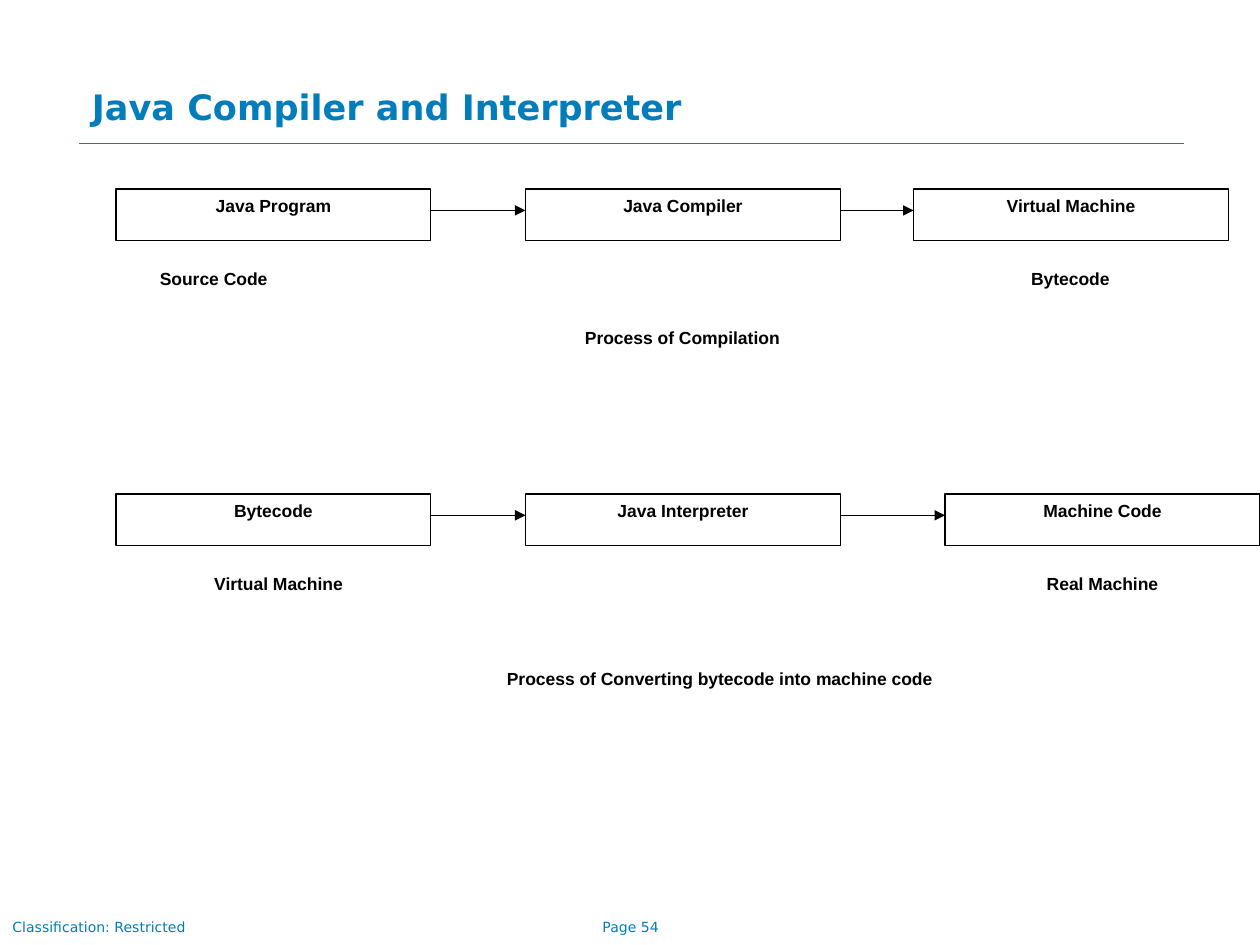
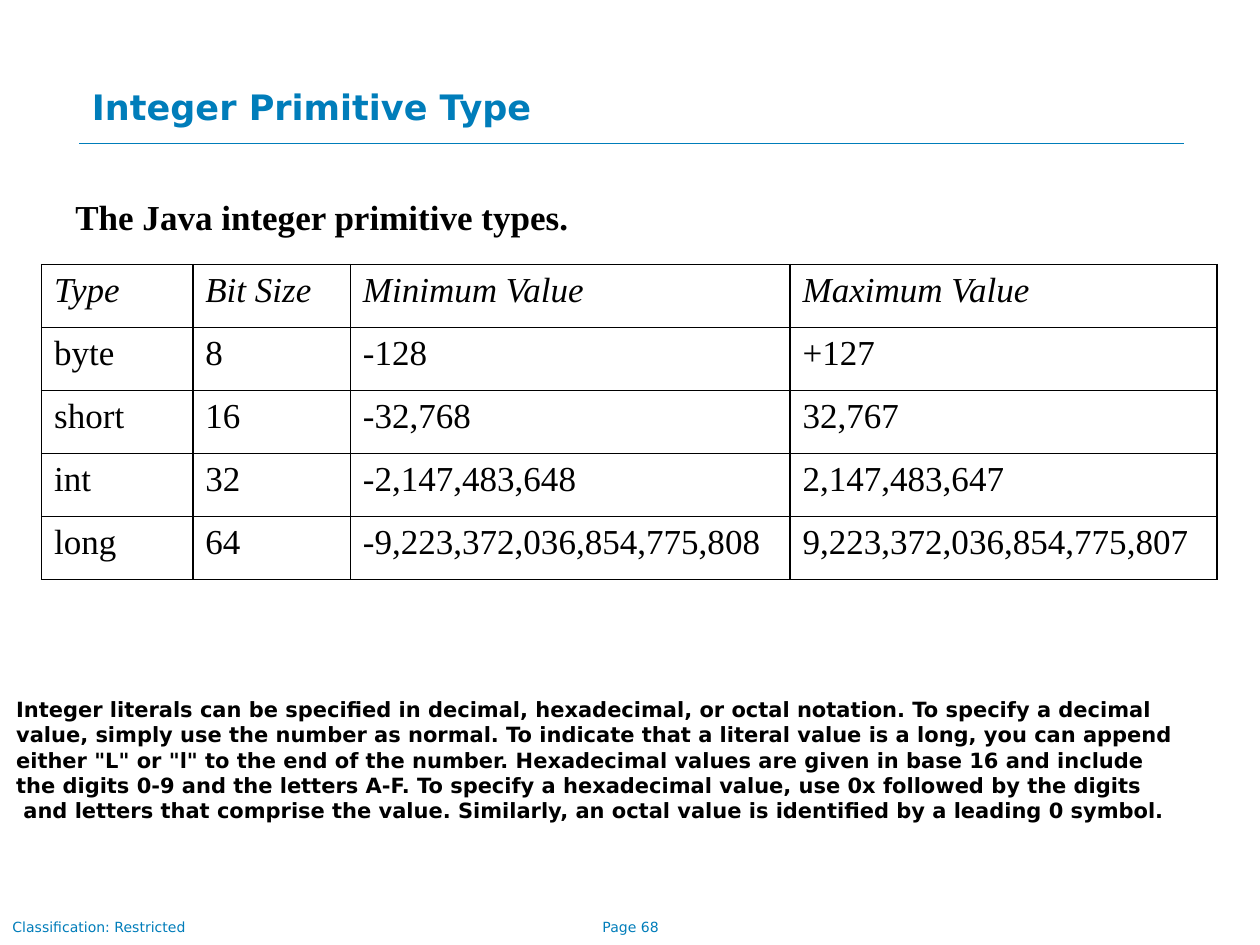
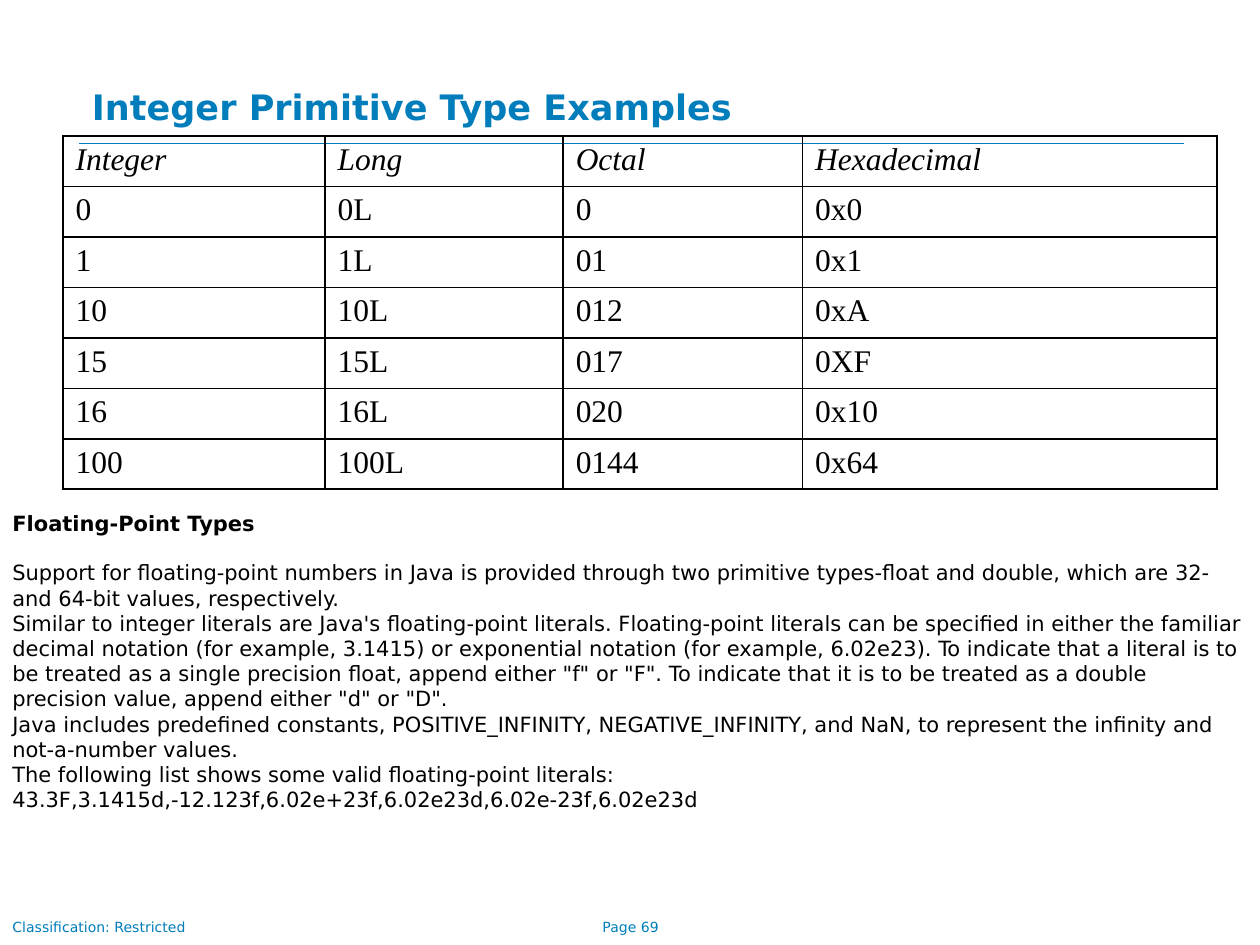
import pptx
import pptx.dml.color
import pptx.enum.shapes
import pptx.enum.text
import pptx.oxml
import pptx.oxml.ns
import pptx.util

Inches, Pt = pptx.util.Inches, pptx.util.Pt
ALIGN = pptx.enum.text.PP_ALIGN
ANCHOR = pptx.enum.text.MSO_ANCHOR

# Shared look
WIDTH, HEIGHT = 10, 7.5
BLUE, BLACK = "007DBA", "000000"
TITLE = {"size": Pt(20), "name": "DejaVu Sans", "bold": True, "color": BLUE}
FOOTER = {"size": Pt(8), "name": "DejaVu Sans", "color": BLUE}
LABEL = {"size": Pt(10), "name": "Arial", "bold": True, "color": BLACK}
BODY = {"size": Pt(12), "name": "DejaVu Sans", "bold": False, "color": BLACK}
STRONG = {**BODY, "bold": True}
CAPTION = {"size": Pt(20), "name": "Times New Roman", "bold": True, "color": BLACK}
CELL = {"size": Pt(20), "name": "Times New Roman", "bold": False, "color": BLACK}

# Flow diagrams: top edge, steps with their left edges, labels with their places
STEP_WIDTH, STEP_HEIGHT, ARROW_DROP = 2.5, 0.41, 0.17
FLOWS = [
    {"top": 1.5,
     "steps": [("Java Program", 0.92), ("Java Compiler", 4.17), ("Virtual Machine", 7.25)],
     "labels": [("Source Code", (1.17, 2.08, 2.08, 0.4), ALIGN.LEFT),
                ("Bytecode", (7.33, 2.08, 2.33, 0.4), ALIGN.CENTER),
                ("Process of Compilation", (3.75, 2.55, 3.33, 0.4), ALIGN.CENTER)]},
    {"top": 3.92,
     "steps": [("Bytecode", 0.92), ("Java Interpreter", 4.17), ("Machine Code", 7.5)],
     "labels": [("Virtual Machine", (1, 4.5, 2.42, 0.27), ALIGN.CENTER),
                ("Real Machine", (7.5, 4.5, 2.5, 0.4), ALIGN.CENTER),
                ("Process of Converting bytecode into machine code",
                 (2.5, 5.25, 6.42, 0.27), ALIGN.CENTER)]},
]

INTEGER_TYPES = [
    ("Type", "Bit Size", "Minimum Value", "Maximum Value"),
    ("byte", "8", "-128", "+127"),
    ("short", "16", "-32,768", "32,767"),
    ("int", "32", "-2,147,483,648", "2,147,483,647"),
    ("long", "64", "-9,223,372,036,854,775,808", "9,223,372,036,854,775,807"),
]
LITERAL_NOTES = [
    "Integer literals can be specified in decimal, hexadecimal, or octal notation. To specify a decimal",
    "value, simply use the number as normal. To indicate that a literal value is a long, you can append",
    'either "L" or "l" to the end of the number. Hexadecimal values are given in base 16 and include',
    "the digits 0-9 and the letters A-F. To specify a hexadecimal value, use 0x followed by the digits",
    " and letters that comprise the value. Similarly, an octal value is identified by a leading 0 symbol.",
]
INTEGER_EXAMPLES = [
    ("Integer", "Long", "Octal", "Hexadecimal"),
    ("0", "0L", "0", "0x0"),
    ("1", "1L", "01", "0x1"),
    ("10", "10L", "012", "0xA"),
    ("15", "15L", "017", "0XF"),
    ("16", "16L", "020", "0x10"),
    ("100", "100L", "0144", "0x64"),
]
FLOATING_HEADING = "Floating-Point Types"
FLOATING_NOTES = [
    "Support for floating-point numbers in Java is provided through two primitive types-float and "
    "double, which are 32- and 64-bit values, respectively.",
    "Similar to integer literals are Java's floating-point literals. Floating-point literals can be "
    "specified in either the familiar decimal notation (for example, 3.1415) or exponential notation "
    "(for example, 6.02e23). To indicate that a literal is to be treated as a single precision float, "
    'append either "f" or "F". To indicate that it is to be treated as a double precision value, '
    'append either "d" or "D".',
    "Java includes predefined constants, POSITIVE_INFINITY, NEGATIVE_INFINITY, and NaN, to represent "
    "the infinity and not-a-number values.",
    "The following list shows some valid floating-point literals:",
    "43.3F,3.1415d,-12.123f,6.02e+23f,6.02e23d,6.02e-23f,6.02e23d",
]


def rgb(value):
    return pptx.dml.color.RGBColor.from_string(value)


def inches(place):
    return [Inches(length) for length in place]


def write(frame, lines, style, align=ALIGN.LEFT):
    """Fill a text frame with one paragraph for each line."""
    for number, line in enumerate(lines):
        para = frame.add_paragraph() if number else frame.paragraphs[0]
        para.alignment = align
        span = para.add_run()
        span.text = line
        for key, value in style.items():
            if key == "color":
                span.font.color.rgb = rgb(value)
            else:
                setattr(span.font, key, value)


def add_text(page, place, lines, style, align=ALIGN.LEFT, wrap=True):
    frame = page.shapes.add_textbox(*inches(place)).text_frame
    frame.word_wrap = wrap
    write(frame, lines, style, align)
    return frame


def add_line(page, start, end, color, weight, arrow=False):
    line = page.shapes.add_connector(
        pptx.enum.shapes.MSO_CONNECTOR.STRAIGHT, *inches(start + end))
    line.line.color.rgb = rgb(color)
    line.line.width = Pt(weight)
    if arrow:
        tip = pptx.oxml.parse_xml(
            f'<a:tailEnd {pptx.oxml.ns.nsdecls("a")} type="triangle"/>')
        line.line._get_or_add_ln().append(tip)
    line._element.spPr.append(
        pptx.oxml.parse_xml(f'<a:effectLst {pptx.oxml.ns.nsdecls("a")}/>'))


def add_step(page, text, left, top):
    box = page.shapes.add_shape(pptx.enum.shapes.MSO_SHAPE.RECTANGLE,
                                *inches((left, top, STEP_WIDTH, STEP_HEIGHT)))
    box.shadow.inherit = False
    box.fill.background()
    box.line.color.rgb = rgb(BLACK)
    box.line.width = Pt(0.75)
    box.text_frame.word_wrap = True
    box.text_frame.vertical_anchor = ANCHOR.TOP
    write(box.text_frame, [text], LABEL, ALIGN.CENTER)


def add_flow(page, top, steps, labels):
    for text, left in steps:
        add_step(page, text, left, top)
    for (_, left), (_, following) in zip(steps, steps[1:]):
        level = top + ARROW_DROP
        add_line(page, (left + STEP_WIDTH, level), (following, level), BLACK, 0.75, True)
    for text, place, align in labels:
        add_text(page, place, [text], LABEL, align)


def add_borders(cell):
    properties = cell._tc.get_or_add_tcPr()
    for number, side in enumerate("LRTB"):
        properties.insert(number, pptx.oxml.parse_xml(
            f'<a:ln{side} {pptx.oxml.ns.nsdecls("a")} w="{Pt(1)}"><a:solidFill>'
            f'<a:srgbClr val="{BLACK}"/></a:solidFill></a:ln{side}>'))


def add_grid(page, left, top, widths, row_height, rows, size):
    """Draw a ruled table with an italic heading row."""
    place = (left, top, sum(widths), row_height * len(rows))
    table = page.shapes.add_table(len(rows), len(widths), *inches(place)).table
    table.first_row = table.horz_banding = False
    for column, width in zip(table.columns, widths):
        column.width = Inches(width)
    for number, texts in enumerate(rows):
        table.rows[number].height = Inches(row_height)
        style = {**CELL, "size": Pt(size), "italic": number == 0}
        for cell, text in zip(table.rows[number].cells, texts):
            cell.fill.background()
            add_borders(cell)
            write(cell.text_frame, [text], style)


def add_page(deck, title, number):
    """Start a slide with its title, rule and footers."""
    page = deck.slides.add_slide(deck.slide_layouts[5])
    add_line(page, (0.63, 1.14), (9.4, 1.14), BLUE, 0.5)
    add_text(page, (4.3, 7.24, 1.41, 0.23), [f"Page {number}"], FOOTER, ALIGN.CENTER)
    add_text(page, (0, 7.24, 1.58, 0.23), ["Classification: Restricted"], FOOTER, wrap=False)
    box = page.shapes.title
    box.left, box.top, box.width, box.height = inches((0.63, 0.63, 8.78, 0.51))
    frame = box.text_frame
    frame.auto_size = pptx.enum.text.MSO_AUTO_SIZE.NONE
    frame.vertical_anchor = ANCHOR.TOP
    write(frame, [title], TITLE)
    return page


def main():
    deck = pptx.Presentation()
    deck.slide_width, deck.slide_height = inches((WIDTH, HEIGHT))

    # Compilation and interpretation
    page = add_page(deck, "Java Compiler and Interpreter", 54)
    for flow in FLOWS:
        add_flow(page, **flow)

    # Integer types
    page = add_page(deck, "Integer Primitive Type", 68)
    caption = add_text(page, (0.5, 1.42, 4.83, 0.73),
                       ["The Java integer primitive types."], CAPTION)
    caption.margin_top = Inches(0.13)
    add_grid(page, 0.33, 2.1, (1.2, 1.25, 3.49, 3.39), 0.5, INTEGER_TYPES, 20)
    add_text(page, (0.03, 5.48, 9.47, 1.11), LITERAL_NOTES, STRONG)

    # Integer literals and floating-point types
    page = add_page(deck, "Integer Primitive Type Examples", 69)
    add_grid(page, 0.5, 1.08, (2.08, 1.89, 1.9, 3.29), 0.4, INTEGER_EXAMPLES, 18)
    notes = add_text(page, (0, 4, WIDTH, 2.93), [FLOATING_HEADING, *FLOATING_NOTES], BODY)
    heading = notes.paragraphs[0]
    heading.runs[0].font.bold = True
    heading.space_after = Pt(14)

    deck.save("out.pptx")


if __name__ == "__main__":
    main()
